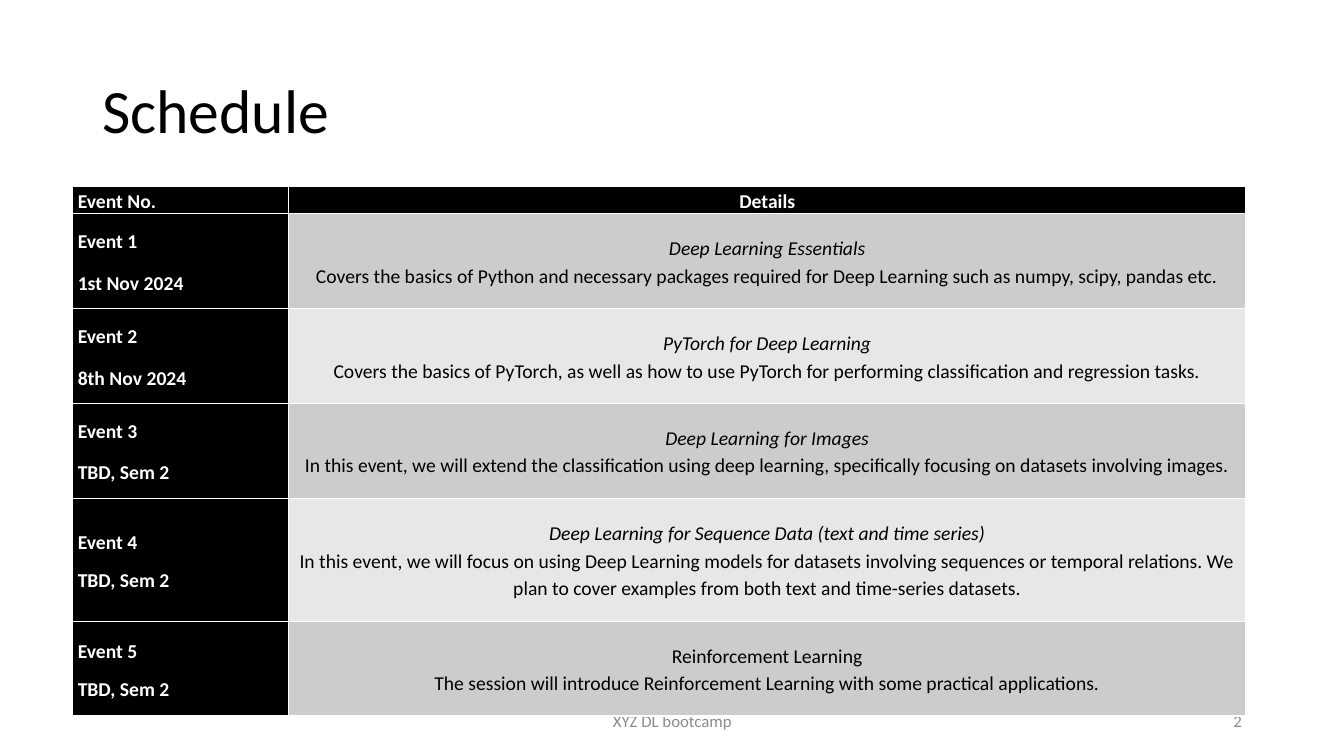
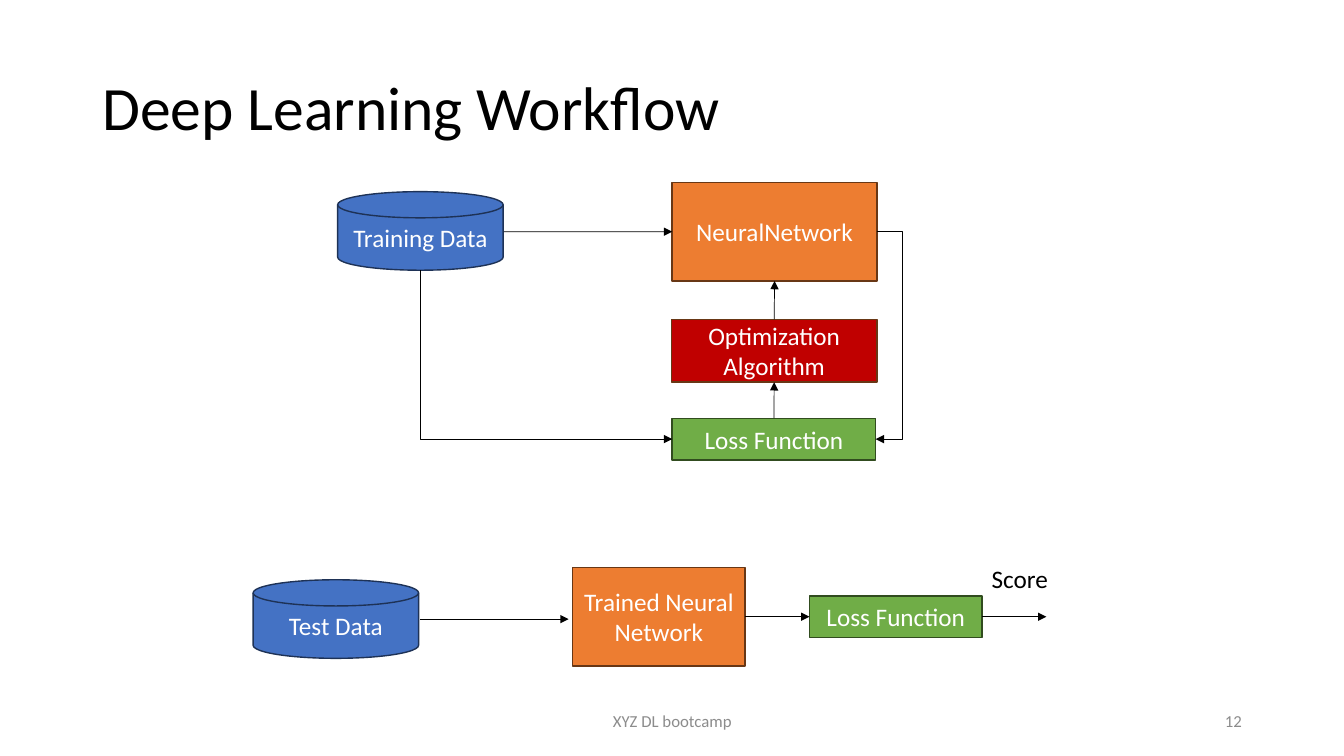
import pptx
import pptx.util
import pptx.dml.color
import pptx.enum.shapes
import pptx.enum.text
import pptx.oxml.ns
import lxml.etree

Cm, Pt = pptx.util.Cm, pptx.util.Pt
RGB = pptx.dml.color.RGBColor
KIND = pptx.enum.shapes.MSO_SHAPE
WIRE = pptx.enum.shapes.MSO_CONNECTOR
ALIGN = pptx.enum.text.PP_ALIGN
MIDDLE = pptx.enum.text.MSO_ANCHOR.MIDDLE
qn = pptx.oxml.ns.qn

BLACK, WHITE = RGB(0, 0, 0), RGB(255, 255, 255)
GREY, DARK, PALE = RGB(0x8C, 0x8C, 0x8C), RGB(0xCC, 0xCC, 0xCC), RGB(0xE7, 0xE7, 0xE7)
BLUE, NAVY = RGB(0x44, 0x72, 0xC4), RGB(0x1E, 0x32, 0x56)
ORANGE, BROWN = RGB(0xED, 0x7D, 0x31), RGB(0x68, 0x37, 0x15)
GREEN, MOSS = RGB(0x70, 0xAD, 0x47), RGB(0x31, 0x4C, 0x1F)
RED = RGB(0xC0, 0, 0)
FONT = "Calibri"
FOOTER = "XYZ DL bootcamp"

# Schedule: event, date, topic, details
HEADS = ("Event No.", "Details")
EVENTS = [
    ("Event 1", "1st Nov 2024", "Deep Learning Essentials",
     "Covers the basics of Python and necessary packages required for Deep "
     "Learning such as numpy, scipy, pandas etc."),
    ("Event 2", "8th Nov 2024", "PyTorch for Deep Learning",
     "Covers the basics of PyTorch, as well as how to use PyTorch for "
     "performing classification and regression tasks."),
    ("Event 3", "TBD, Sem 2", "Deep Learning for Images",
     "In this event, we will extend the classification using deep learning, "
     "specifically focusing on datasets involving images."),
    ("Event 4", "TBD, Sem 2", "Deep Learning for Sequence Data (text and time series)",
     "In this event, we will focus on using Deep Learning models for datasets "
     "involving sequences or temporal relations. We plan to cover examples "
     "from both text and time-series datasets."),
    ("Event 5", "TBD, Sem 2", "Reinforcement Learning",
     "The session will introduce Reinforcement Learning with some practical "
     "applications."),
]
COLS = (5.44, 24.13)
ROWS = (0.66, 2.39, 2.39, 2.39, 3.1, 2.39)
TIGHT = ("Event 4", "Event 5")    # dates set with single line spacing
PLAIN = ("Event 5",)              # topics not in italics

# Workflow: kind, fill, outline
LOOKS = {
    "data": (KIND.FLOWCHART_MAGNETIC_DISK, BLUE, NAVY),
    "net": (KIND.RECTANGLE, ORANGE, BROWN),
    "loss": (KIND.RECTANGLE, GREEN, MOSS),
    "tune": (KIND.RECTANGLE, RED, BROWN),
}
# Key: look, text, left, top, width, height
BOXES = {
    "train": ("data", "Training Data", 8.51, 4.83, 4.17, 1.98),
    "net": ("net", "NeuralNetwork", 16.94, 4.6, 5.16, 2.48),
    "loss": ("loss", "Loss Function", 16.94, 10.54, 5.13, 1.05),
    "tune": ("tune", "Optimization Algorithm", 16.92, 8.05, 5.18, 1.58),
    "test": ("data", "Test Data", 6.38, 14.61, 4.17, 1.98),
    "ready": ("net", "Trained Neural Network", 14.43, 14.3, 4.35, 2.48),
    "check": ("loss", "Loss Function", 20.4, 15.02, 4.35, 1.04),
}
# Each end is a box side (key, side) or a point in cm
TOP, LEFT, BASE, RIGHT = range(4)
ARROWS = [
    ((12.7, 5.84), ("net", LEFT)),
    (("loss", TOP), ("tune", BASE)),
    (("tune", TOP), ("net", BASE)),
    ((10.59, 15.6), (14.33, 15.6)),
    (("ready", RIGHT), ("check", LEFT)),
    (("check", RIGHT), (26.37, 15.54)),
]
LOOP = 0.64    # how far the feedback arrow swings out


def write(frame, paras, size=18, color=BLACK, bold=False, lead=False,
          align=ALIGN.LEFT, line=None, after=None):
    """Fill a frame; each paragraph is a tuple of lines, lead slants the first."""
    frame.word_wrap = True
    for n, lines in enumerate(paras):
        para = frame.add_paragraph() if n else frame.paragraphs[0]
        para.alignment = align
        if line:
            para.line_spacing = line
        if after is not None:
            para.space_after = Pt(after)
        for k, words in enumerate(lines):
            if k:
                para.add_line_break()
                lxml.etree.SubElement(para._p[-1], qn("a:rPr"), sz=str(size * 100))
            run = para.add_run()
            run.text = words
            font = run.font
            font.name, font.size, font.bold = FONT, Pt(size), bold
            font.italic = lead and k == 0
            font.color.rgb = color


def label(slide, words, left, top, width, height, anchor=MIDDLE, **form):
    box = slide.shapes.add_textbox(Cm(left), Cm(top), Cm(width), Cm(height))
    box.text_frame.vertical_anchor = anchor
    write(box.text_frame, [(words,)], **form)


def start(deck, title, top, number):
    """Add a slide with its title, footer and number."""
    slide = deck.slides.add_slide(deck.slide_layouts[6])
    label(slide, title, 2.33, top, 29.21, 3.68, size=44, line=0.9)
    label(slide, FOOTER, 11.23, 17.65, 11.43, 1.02, size=12, color=GREY, align=ALIGN.CENTER)
    label(slide, number, 23.93, 17.65, 7.62, 1.02, size=12, color=GREY, align=ALIGN.RIGHT)
    return slide


def fill_cell(cell, paras, fill, **form):
    cell.fill.solid()
    cell.fill.fore_color.rgb = fill
    cell.vertical_anchor = MIDDLE
    cell.margin_left = cell.margin_right = Cm(0.13)
    cell.margin_top = cell.margin_bottom = 0
    write(cell.text_frame, paras, size=14, line=1.15, after=10, **form)


def add_plan(slide):
    table = slide.shapes.add_table(len(ROWS), len(COLS), Cm(1.83), Cm(4.7),
                                   Cm(sum(COLS)), Cm(sum(ROWS))).table
    for col, width in zip(table.columns, COLS):
        col.width = Cm(width)
    for row, height in zip(table.rows, ROWS):
        row.height = Cm(height)
    side = dict(color=WHITE, bold=True, align=ALIGN.JUSTIFY)
    fill_cell(table.cell(0, 0), [(HEADS[0],)], BLACK, **side)
    fill_cell(table.cell(0, 1), [(HEADS[1],)], BLACK, color=WHITE, bold=True,
              align=ALIGN.CENTER)
    for n, (event, date, topic, about) in enumerate(EVENTS, 1):
        cell = table.cell(n, 0)
        fill_cell(cell, [(event,), (date,)], BLACK, **side)
        if event in TIGHT:
            last = cell.text_frame.paragraphs[-1]
            last.line_spacing, last.space_after = 1.0, Pt(0)
        fill_cell(table.cell(n, 1), [(topic, about)], DARK if n % 2 else PALE,
                  lead=event not in PLAIN, align=ALIGN.CENTER)


def add_box(slide, look, words, *place):
    kind, fill, edge = LOOKS[look]
    box = slide.shapes.add_shape(kind, *map(Cm, place))
    box.shadow.inherit = False
    box.fill.solid()
    box.fill.fore_color.rgb = fill
    box.line.color.rgb = edge
    box.line.width = Pt(1)
    box.text_frame.vertical_anchor = MIDDLE
    write(box.text_frame, [(words,)], color=WHITE, align=ALIGN.CENTER)
    return box


def add_arrow(slide, boxes, head, tail, kind=WIRE.STRAIGHT):
    """Draw an arrow, joined to a box wherever an end names one."""
    ends = [(0, 0) if end[0] in boxes else end for end in (head, tail)]
    wire = slide.shapes.add_connector(kind, *(Cm(v) for end in ends for v in end))
    for end, join in ((head, wire.begin_connect), (tail, wire.end_connect)):
        if end[0] in boxes:
            join(boxes[end[0]], end[1])
    wire.line.color.rgb = BLACK
    wire.line.width = Pt(0.5)
    lxml.etree.SubElement(wire.line._ln, qn("a:tailEnd"), type="triangle")
    lxml.etree.SubElement(wire._element.spPr, qn("a:effectLst"))
    return wire


def add_bends(slide, boxes):
    # Network output swings out to the loss
    loop = add_arrow(slide, boxes, ("net", RIGHT), ("loss", RIGHT), WIRE.ELBOW)
    shape = loop._element.spPr.find(qn("a:prstGeom"))
    bend = shape.find(qn("a:avLst"))
    if bend is None:
        bend = lxml.etree.SubElement(shape, qn("a:avLst"))
    swing = -round(Cm(LOOP) / loop.width * 100000)
    lxml.etree.SubElement(bend, qn("a:gd"), name="adj1", fmla=f"val {swing}")

    # Training data drops, then turns right to the loss: one corner, turned
    disk = boxes["train"]
    head = ((disk.left + disk.width / 2) / Cm(1), (disk.top + disk.height) / Cm(1))
    turn = add_arrow(slide, boxes, head, ("loss", LEFT), WIRE.ELBOW)
    wide, high = turn.width, turn.height
    mid_x, mid_y = turn.left + wide // 2, turn.top + high // 2
    turn.left, turn.top = mid_x - high // 2, mid_y - wide // 2
    turn.width, turn.height = high, wide
    turn._element.spPr.find(qn("a:prstGeom")).set("prst", "bentConnector2")
    frame = turn._element.spPr.find(qn("a:xfrm"))
    for flip in ("flipH", "flipV"):
        frame.attrib.pop(flip, None)
    frame.set("rot", "16200000")
    frame.set("flipH", "1")


def main():
    deck = pptx.Presentation()
    deck.slide_width, deck.slide_height = Cm(33.87), Cm(19.05)

    # Schedule
    add_plan(start(deck, "Schedule", 1.02, "2"))

    # Workflow
    slide = start(deck, "Deep Learning Workflow", 0.94, "12")
    boxes = {key: add_box(slide, *box) for key, box in BOXES.items()}
    for head, tail in ARROWS:
        add_arrow(slide, boxes, head, tail)
    add_bends(slide, boxes)
    label(slide, "Score", 24.74, 14.07, 2.16, 1.02, anchor=pptx.enum.text.MSO_ANCHOR.TOP)

    deck.save("out.pptx")


if __name__ == "__main__":
    main()
